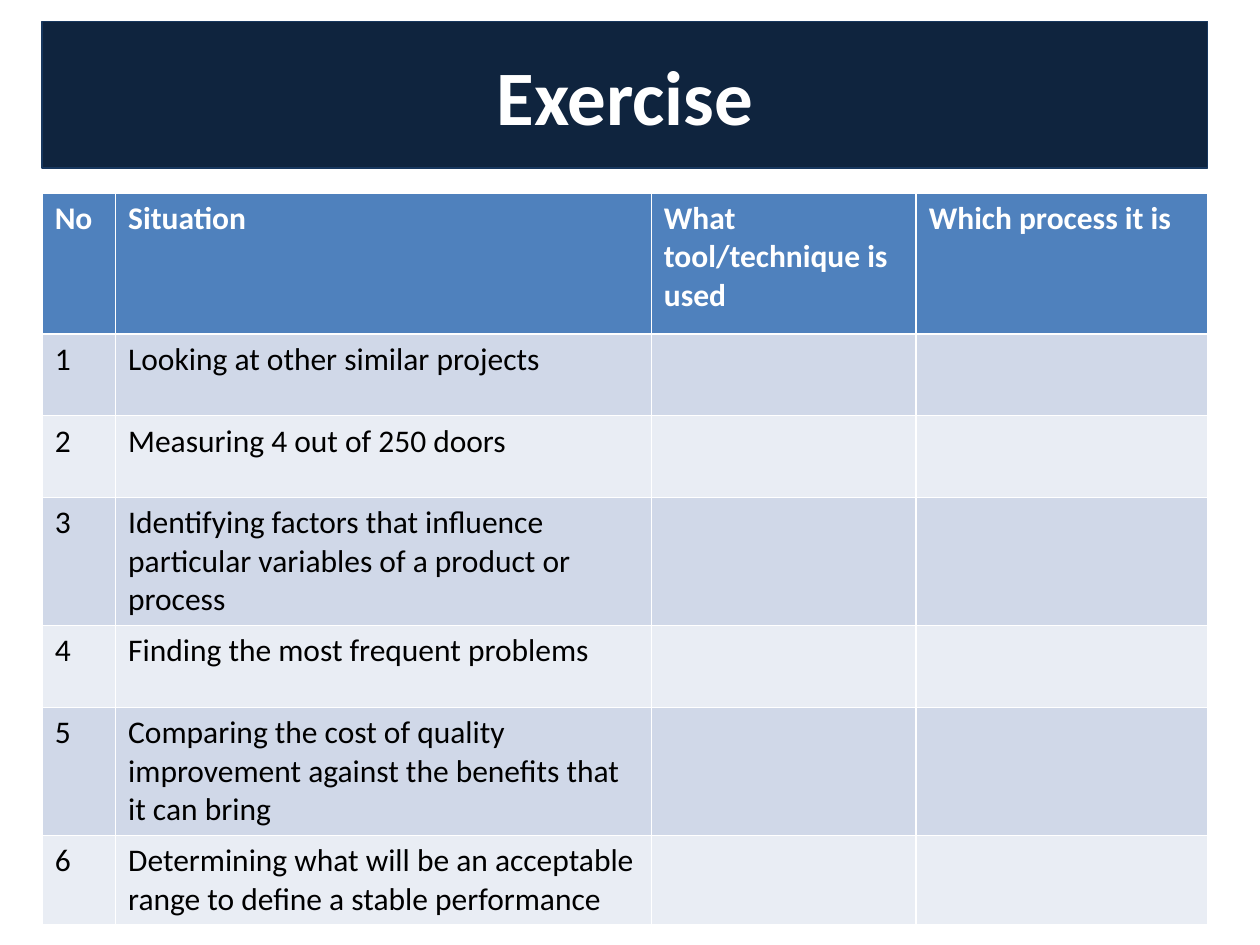
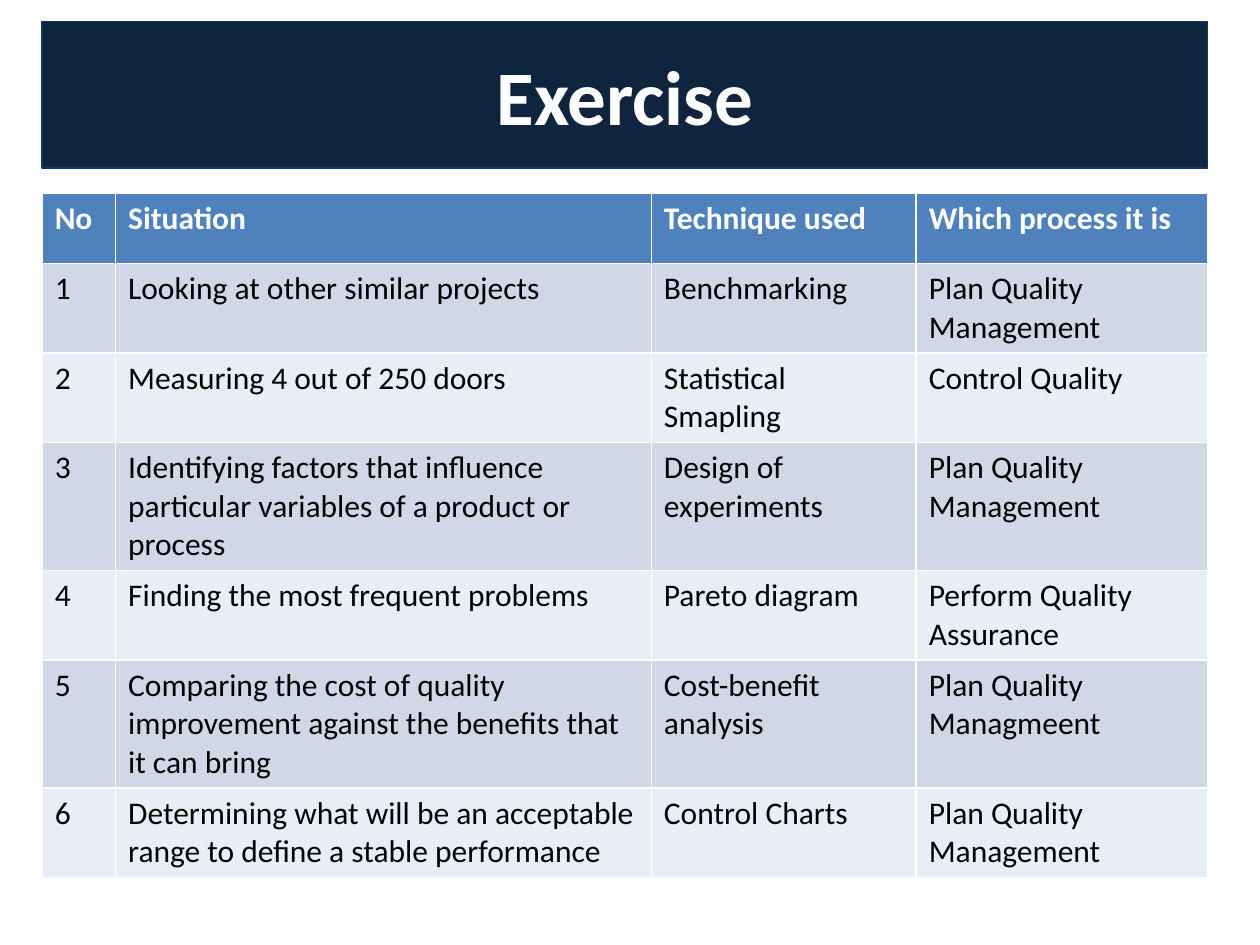
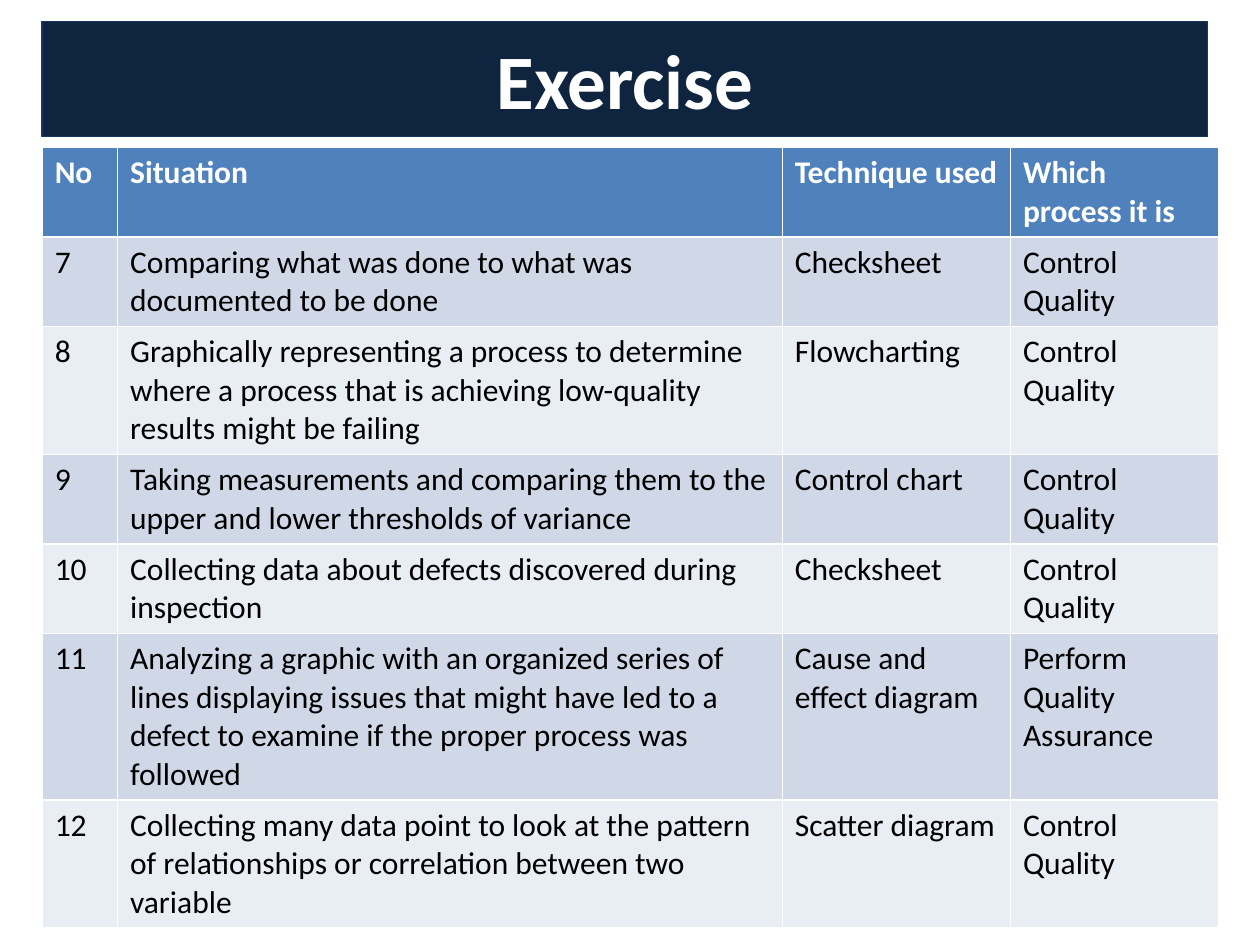
from pptx import Presentation
from pptx.dml.color import RGBColor
from pptx.enum.shapes import MSO_SHAPE
from pptx.enum.text import MSO_ANCHOR, PP_ALIGN
from pptx.util import Cm, Pt

NAVY, EDGE, BLUE = "0F243E", "17375E", "4F81BD"
BANDS = ["E9EDF4", "D0D8E8"]
WHITE, BLACK = "FFFFFF", "000000"
LEFT, TOP, WIDTH = 0.85, 0.43, 23.5
ROW = 1.65


def color(code):
    return RGBColor.from_string(code)


def style(frame, size, code, bold):
    for par in frame.paragraphs:
        for run in par.runs:
            run.font.name = "Calibri"
            run.font.size = Pt(size)
            run.font.bold = bold
            run.font.color.rgb = color(code)


tasks = [
    "Looking at other similar projects",
    "Measuring 4 out of 250 doors",
    "Identifying factors that influence particular variables of a product or process",
    "Finding the most frequent problems",
    "Comparing the cost of quality improvement against the benefits that it can bring",
    "Determining what will be an acceptable range to define a stable performance",
]
tools = [
    ("Benchmarking", "Plan Quality Management"),
    ("Statistical Smapling", "Control Quality"),
    ("Design of experiments", "Plan Quality Management"),
    ("Pareto diagram", "Perform Quality Assurance"),
    ("Cost-benefit analysis", "Plan Quality Managmeent"),
    ("Control Charts", "Plan Quality Management"),
]
blank = [(task, "", "") for task in tasks]
solved = [(task, *tool) for task, tool in zip(tasks, tools)]
more = [
    ("Comparing what was done to what was documented to be done",
     "Checksheet", "Control Quality"),
    ("Graphically representing a process to determine where a process "
     "that is achieving low-quality results might be failing",
     "Flowcharting", "Control Quality"),
    ("Taking measurements and comparing them to the upper and lower thresholds of variance",
     "Control chart", "Control Quality"),
    ("Collecting data about defects discovered during inspection",
     "Checksheet", "Control Quality"),
    ("Analyzing a graphic with an organized series of lines displaying issues "
     "that might have led to a defect to examine if the proper process was followed",
     "Cause and effect diagram", "Perform Quality Assurance"),
    ("Collecting many data point to look at the pattern of relationships "
     "or correlation between two variable",
     "Scatter diagram", "Control Quality"),
]
wide = [1.48, 10.8, 5.34, 5.88]
tight = [1.52, 13.4, 4.6, 4.19]

pages = [
    (2.96, 3.89, wide, 2.84, "What tool/technique is used", 1, blank),
    (2.96, 3.89, wide, 1.42, "Technique used", 1, solved),
    (2.33, 2.97, tight, 1.63, "Technique used", 7, more),
]

deck = Presentation()
deck.slide_width, deck.slide_height = Cm(25.4), Cm(19.05)

for tall, top, cols, head, label, first, items in pages:
    slide = deck.slides.add_slide(deck.slide_layouts[6])

    band = slide.shapes.add_shape(
        MSO_SHAPE.RECTANGLE, Cm(LEFT), Cm(TOP), Cm(WIDTH), Cm(tall))
    band.shadow.inherit = False
    band.fill.solid()
    band.fill.fore_color.rgb = color(NAVY)
    band.line.color.rgb = color(EDGE)
    band.line.width = Pt(0.75)
    band.text_frame.text = "Exercise"
    band.text_frame.vertical_anchor = MSO_ANCHOR.MIDDLE
    band.text_frame.paragraphs[0].alignment = PP_ALIGN.CENTER
    style(band.text_frame, 44, WHITE, True)

    rows = [("No", "Situation", label, "Which process it is")]
    rows += [(str(num), *item) for num, item in enumerate(items, first)]
    grid = slide.shapes.add_table(
        len(rows), len(cols), Cm(LEFT), Cm(top),
        Cm(sum(cols)), Cm(head + ROW * len(items))).table
    for col, width in zip(grid.columns, cols):
        col.width = Cm(width)
    for r, row in enumerate(rows):
        grid.rows[r].height = Cm(ROW if r else head)
        for c, text in enumerate(row):
            cell = grid.cell(r, c)
            cell.fill.solid()
            cell.fill.fore_color.rgb = color(BANDS[r % 2] if r else BLUE)
            cell.text_frame.text = text
            style(cell.text_frame, 18, BLACK if r else WHITE, r == 0)

deck.save("out.pptx")
